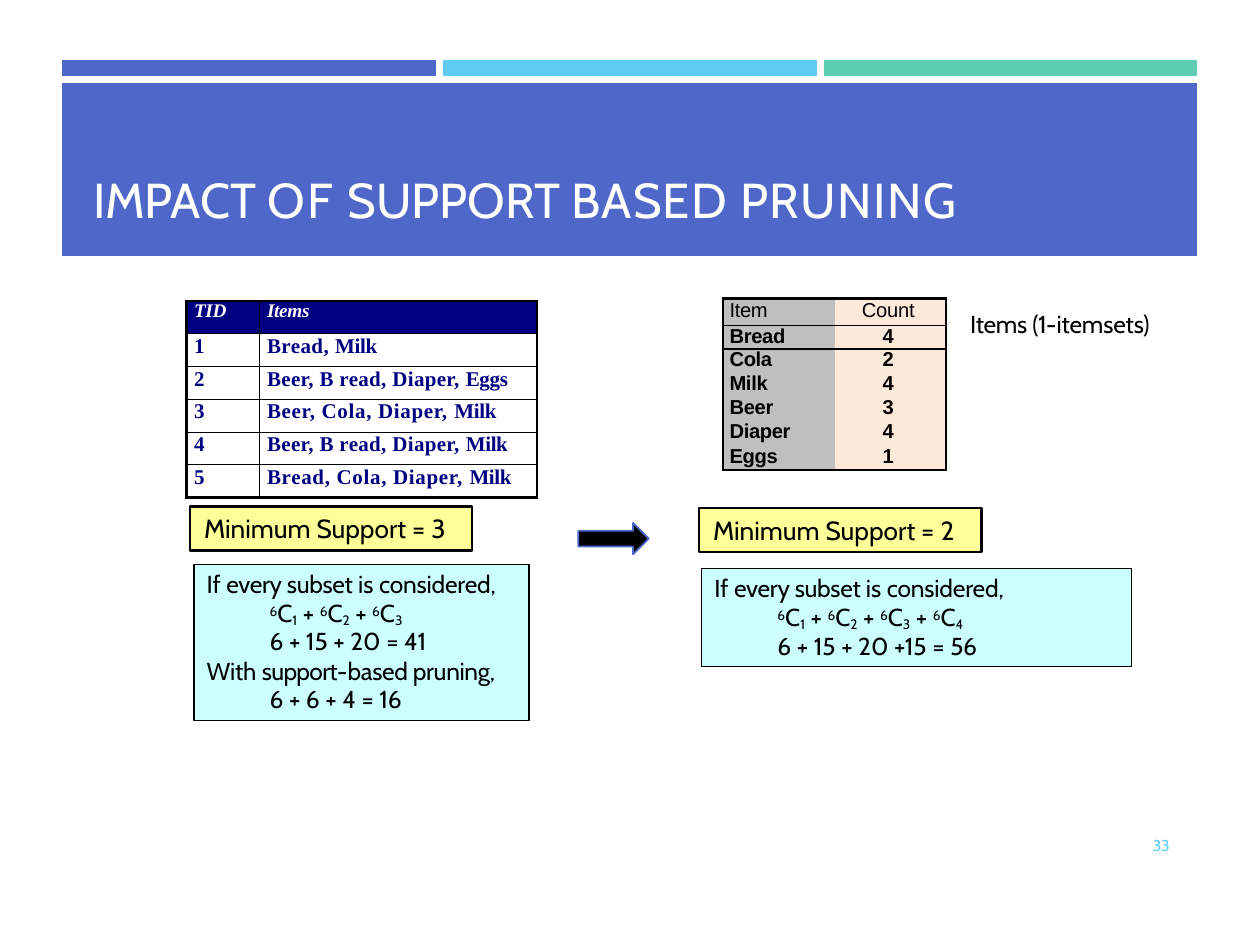
from dataclasses import dataclass
from typing import NamedTuple

import pptx
import pptx.dml.color
import pptx.enum.shapes
import pptx.enum.text
import pptx.oxml
import pptx.oxml.ns
import pptx.util
from pptx.util import Inches

ALIGN = pptx.enum.text.PP_ALIGN
SHAPE = pptx.enum.shapes.MSO_SHAPE

@dataclass(frozen=True)
class Theme:
    blue: str = "4E67C8"
    sky: str = "5ECCF3"
    mint: str = "5DCEAF"
    white: str = "FFFFFF"
    black: str = "000000"
    navy: str = "000080"
    yellow: str = "FFFF99"
    cyan: str = "CCFFFF"
    gray: str = "BFBFBF"
    peach: str = "FDE9D9"
    title_size: float = 28
    label_size: float = 15
    body_size: float = 14
    script_size: float = 13.5
    table_size: float = 12
    count_size: float = 11.5
    header_size: float = 11
    number_size: float = 9
    gap: float = 4.5
    thick: float = 1.5
    medium: float = 1.25
    thin: float = 0.75

THEME = Theme()

class Run(NamedTuple):
    text: str
    tracking: float = 0
    baseline: int = 0

class Style(NamedTuple):
    size: float
    color: str = THEME.black
    font: str = "Cabin"
    bold: bool = False
    italic: bool = False

class Line(NamedTuple):
    runs: list[Run]
    indent: float = 0
    before: float = 0
    spacing: float | None = None
    align: ALIGN = ALIGN.LEFT

class Box(NamedTuple):
    left: float
    top: float
    width: float
    height: float

class Cell(NamedTuple):
    line: Line
    style: Style
    fill: str | None
    borders: dict[str, float]
    border_color: str = THEME.black
    right_inset: float = 0

def paint(fill, color: str | None) -> None:
    if color:
        fill.solid()
        fill.fore_color.rgb = pptx.dml.color.RGBColor.from_string(color)
    else:
        fill.background()

def write_line(paragraph, line: Line, style: Style) -> None:
    paragraph.alignment = line.align
    paragraph.space_before = pptx.util.Pt(line.before)
    if line.spacing:
        paragraph.line_spacing = pptx.util.Pt(line.spacing)
    properties = paragraph._p.get_or_add_pPr()
    properties.set("marL", str(Inches(line.indent)))
    properties.set("indent", "0")
    for part in line.runs:
        run = paragraph.add_run()
        run.text = part.text
        font = run.font
        font.name, font.bold, font.italic = style.font, style.bold, style.italic
        font.size = pptx.util.Pt(THEME.script_size if part.baseline else style.size)
        paint(font.fill, style.color)
        run_properties = run._r.get_or_add_rPr()
        run_properties.set("spc", str(round(part.tracking * 100)))
        run_properties.set("baseline", str(part.baseline * 1000))

def write_text(shape, lines: list[Line], style: Style, top_inset: float = 0) -> None:
    frame = shape.text_frame
    frame.word_wrap = True
    frame.vertical_anchor = pptx.enum.text.MSO_ANCHOR.TOP
    frame.margin_left = frame.margin_right = frame.margin_bottom = 0
    frame.margin_top = Inches(top_inset)
    for index, line in enumerate(lines):
        write_line(frame.add_paragraph() if index else frame.paragraphs[0], line, style)

def add_block(slide, kind: SHAPE, box: Box, fill: str, outline: str, weight: float):
    shape = slide.shapes.add_shape(kind, *map(Inches, box))
    shape.shadow.inherit = False
    paint(shape.fill, fill)
    paint(shape.line.fill, outline)
    shape.line.width = pptx.util.Pt(weight)
    return shape

def add_text(slide, box: Box, line: Line, style: Style, top_inset: float = 0) -> None:
    write_text(slide.shapes.add_textbox(*map(Inches, box)), [line], style, top_inset)

def add_label(slide, left: float, top: float, support: str) -> None:
    label = add_block(slide, SHAPE.RECTANGLE, Box(left, top, 2.24, 0.35),
                      THEME.yellow, THEME.black, THEME.medium)
    line = Line([Run("Minimum Support = "), Run(support, -0.5)], 0.11, 3.7)
    write_text(label, [line], Style(THEME.label_size), 0.05)

def add_calculation(slide, box: Box, largest: int, lines: list[Line]) -> None:
    panel = add_block(slide, SHAPE.RECTANGLE, box, THEME.cyan, THEME.black, THEME.thin)
    opening = Line([Run("If "), Run("every subset ", -0.2), Run("is "), Run("considered,", -0.1)], 0.1, 3)
    runs = []
    for size in range(1, largest + 1):
        runs += [Run(" + ")] if runs else []
        runs += [Run("6", 0, 25), Run("C"), Run(str(size), 0, -12)]
    write_text(panel, [opening, Line(runs, 0.6, 0.2, 16.4), *lines], Style(THEME.body_size), 0.04)

def format_cell(table_cell, cell: Cell) -> None:
    table_cell.margin_left = table_cell.margin_top = table_cell.margin_bottom = 0
    table_cell.margin_right = Inches(cell.right_inset)
    paragraph = table_cell.text_frame.paragraphs[0]
    write_line(paragraph, cell.line, cell.style)
    namespace = pptx.oxml.ns.nsdecls("a")
    if not cell.line.runs:
        paragraph._p.append(pptx.oxml.parse_xml(f'<a:endParaRPr {namespace} sz="{cell.style.size * 100}"/>'))
    properties = table_cell._tc.get_or_add_tcPr()
    for side in "LRTB":
        width = cell.borders.get(side, 0)
        color = f'<a:solidFill><a:srgbClr val="{cell.border_color}"/></a:solidFill>' if width else "<a:noFill/>"
        properties.append(pptx.oxml.parse_xml(
            f'<a:ln{side} {namespace} w="{pptx.util.Pt(width)}">{color}</a:ln{side}>'))
    paint(table_cell.fill, cell.fill)

def add_grid(slide, box: Box, widths: list[float], heights: list[float], cells: list[list[Cell]]):
    table = slide.shapes.add_table(len(heights), len(widths), *map(Inches, box)).table
    table.first_row = table.horz_banding = False
    for column, width in zip(table.columns, widths):
        column.width = Inches(width)
    for index, (height, row) in enumerate(zip(heights, cells)):
        table.rows[index].height = Inches(height)
        for column, cell in enumerate(row):
            format_cell(table.cell(index, column), cell)
    return table

def outer_borders(row: int, column: int, last_row: int) -> dict[str, float]:
    sides = ("R" if column else "L") + "T" * (row == 0) + "B" * (row == last_row)
    return dict.fromkeys(sides, THEME.thick)

def add_header(slide) -> None:
    sides = ("RB", "LRB", "LB")
    bars = [Cell(Line([]), Style(4), color, dict.fromkeys(side, THEME.gap), THEME.white)
            for color, side in zip((THEME.blue, THEME.sky, THEME.mint), sides)]
    runs = [Run("IMPACT "), Run("OF ", 1.1), Run("SUPPORT "), Run("BASED ", 0.7), Run("PRUNING", 0.9)]
    title = Cell(Line(runs, 0.25), Style(THEME.title_size, THEME.white), THEME.blue,
                 {"T": THEME.gap}, THEME.white)
    table = add_grid(slide, Box(0.49, 0.48, 9.01, 1.55), [3, 3.02, 2.99], [0.15, 1.4], [bars, [title]])
    band = table.cell(1, 0)
    band.merge(table.cell(1, 2))
    band.vertical_anchor = pptx.enum.text.MSO_ANCHOR.BOTTOM
    band.margin_bottom = Inches(0.2)

def add_transactions(slide) -> None:
    rows = [("TID", "", "Items", 0), ("1", "Bread, ", "Milk", 0.25),
            ("2", "Beer, B read, Diaper, ", "Eggs", 0.2), ("3", "Beer, Cola, Diaper, ", "Milk", 0.4),
            ("4", "Beer, B read, Diaper, ", "Milk", 0.2), ("5", "Bread, Cola, Diaper, ", "Milk", 0.4)]
    cells = []
    for index, (number, first, last, tracking) in enumerate(rows):
        style = (Style(THEME.table_size, THEME.navy, "Times New Roman", True) if index
                 else Style(THEME.header_size, THEME.white, "Times New Roman", True, True))
        items = [Run(first, tracking)] if first else []
        cells.append([
            Cell(Line(runs, 0.06, 0, 13.8 if index else 11.6), style, None if index else THEME.navy,
                 dict.fromkeys("LRTB", THEME.thin) | outer_borders(index, column, len(rows) - 1))
            for column, runs in enumerate(([Run(number, -0.2)], items + [Run(last, -0.2)]))])
    add_grid(slide, Box(1.48, 2.39, 2.78, 1.56), [0.58, 2.2], [0.26] * len(rows), cells)

def add_counts(slide) -> None:
    rows = [("Item", "Count"), ("Bread", "4"), ("Cola", "2"), ("Milk", "4"),
            ("Beer", "3"), ("Diaper", "4"), ("Eggs", "1")]
    cells = []
    for index, (row, spacing) in enumerate(zip(rows, (13.4, 13.1, 12.6, 12.7, 12.7, 12.7, 13.1))):
        style = Style(THEME.count_size, font="Arial", bold=index > 0)
        rule = {"B": THEME.thin} if index < 2 else {}
        borders = [outer_borders(index, column, len(rows) - 1) | rule for column in range(2)]
        cells.append([Cell(Line([Run(row[0], -0.2)], 0.05, 0, spacing), style, THEME.gray, borders[0]),
                      Cell(Line([Run(row[1], -0.1)], 0, 0, spacing, ALIGN.CENTER), style,
                           THEME.peach, borders[1], right_inset=0.04)])
    add_grid(slide, Box(5.74, 2.37, 1.77, 1.36), [0.89, 0.88], [0.21] + [0.19] * 5 + [0.2], cells)

def main() -> None:
    presentation = pptx.Presentation()
    presentation.slide_width, presentation.slide_height = Inches(10), Inches(7.5)
    slide = presentation.slides.add_slide(presentation.slide_layouts[6])
    for add_table in (add_header, add_transactions, add_counts):
        add_table(slide)
    add_text(slide, Box(7.69, 2.44, 1.57, 0.26),
             Line([Run("Items ", -0.2), Run("(1-", -0.4), Run("itemsets)", -0.1)], 0.01, 1), Style(THEME.body_size), 0.01)
    add_label(slide, 1.51, 4.02, "3")
    add_label(slide, 5.55, 4.03, "2")
    add_block(slide, SHAPE.RIGHT_ARROW, Box(4.59, 4.15, 0.56, 0.25), THEME.black, THEME.blue, 1)
    add_calculation(slide, Box(1.54, 4.48, 2.66, 1.24), 3, [
        Line([Run("6 + 15 + 20 = "), Run("41", -0.2)], 0.6, 0, 15.9),
        Line([Run("With ", -0.1), Run("support-", -0.4), Run("based pruning,", -0.2)], 0.1, 0.8, 16.1),
        Line([Run("6 + 6 + 4 = "), Run("16", -0.2)], 0.6, 0, 16.1)])
    add_calculation(slide, Box(5.57, 4.51, 3.41, 0.78), 4, [
        Line([Run("6 + 15 + 20 +15 = "), Run("56", -0.2)], 0.6, 0, 16.4)])
    add_text(slide, Box(9.11, 6.63, 0.22, 0.17), Line([Run("33", -0.2)], 0.04, 0.3),
             Style(THEME.number_size, THEME.sky))
    presentation.save("out.pptx")

if __name__ == "__main__":
    main()
